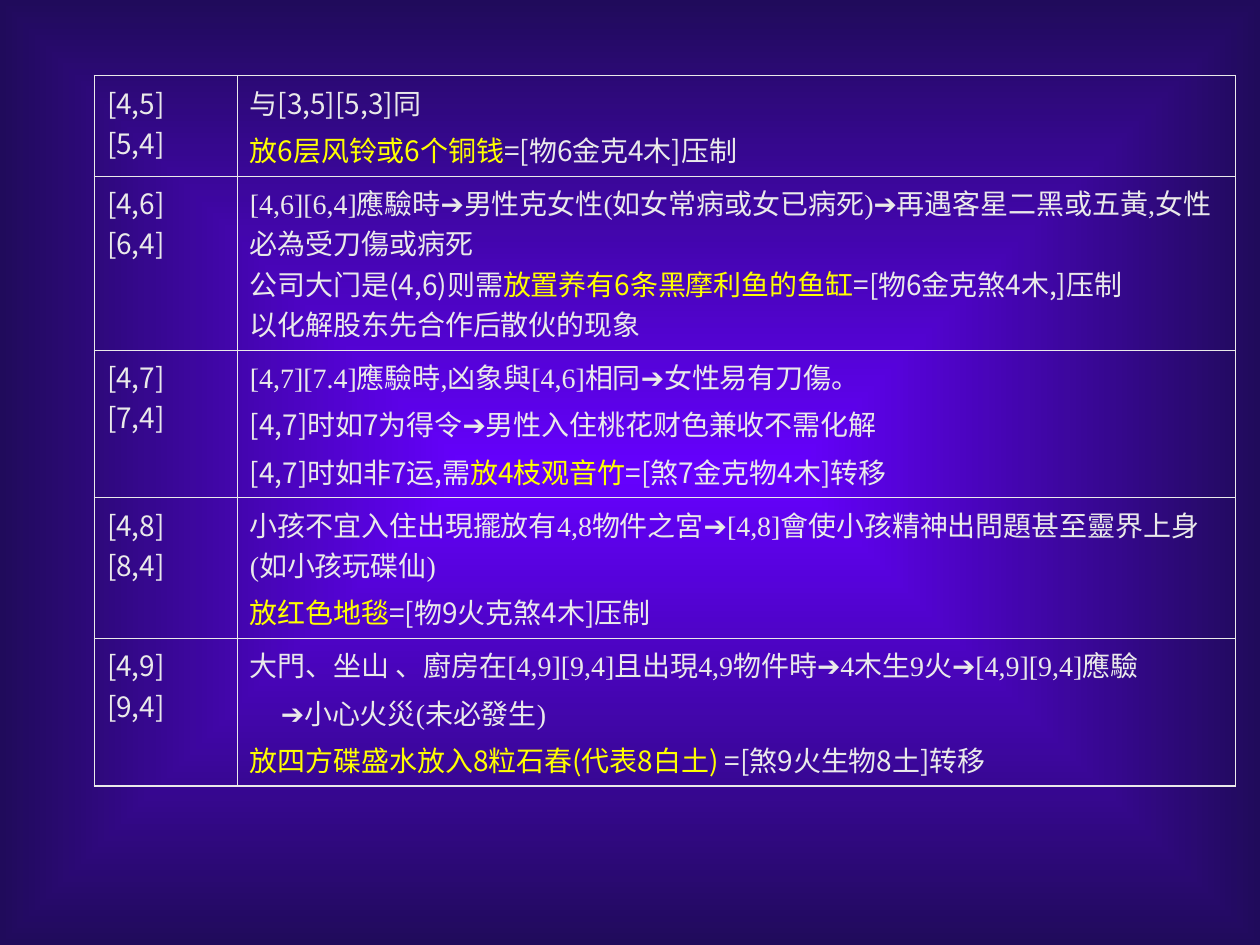
from lxml import etree
from pptx import Presentation
from pptx.dml.color import RGBColor
from pptx.oxml.ns import qn
from pptx.util import Pt

WHITE, YELLOW = "EAEAEA", "FFFF00"
SANS, SERIF, SYMBOL = "Noto Sans CJK SC", "Times New Roman", "Arial"
ARROW = "➔"
OUTER, INNER = 1.08, 0.45
INDENT = 17.7

# Run styles: font and colour
STYLES = {"sans": (SANS, WHITE), "serif": (SERIF, WHITE), "remedy": (SANS, YELLOW)}

# Each row: label, height, paragraphs of (space before, indent, runs)
ROWS = [
    ("[4,5] [5,4]", 49.7, [
        (4, 0, [("sans", "与[3,5][5,3]同")]),
        (4, 0, [("remedy", "放6层风铃或6个铜钱"), ("sans", "=[物6金克4木]压制")]),
    ]),
    ("[4,6] [6,4]", 84.2, [
        (4, 0, [("serif", "[4,6][6,4]應驗時➔男性克女性(如女常病或女已病死)➔"
                          "再遇客星二黑或五黃,女性必為受刀傷或病死")]),
        (0, 0, [("sans", "公司大门是(4,6)则需"), ("remedy", "放置养有6条黑摩利鱼的鱼缸"),
                ("sans", "=[物6金克煞4木,]压制")]),
        (0, 0, [("sans", "以化解股东先合作后散伙的现象")]),
    ]),
    ("[4,7] [7,4]", 72.7, [
        (4, 0, [("serif", "[4,7][7.4]應驗時,凶象與[4,6]相同➔女性易有刀傷。")]),
        (4, 0, [("sans", "[4,7]时如7为得令➔男性入住桃花财色兼收不需化解")]),
        (4, 0, [("sans", "[4,7]时如非7运,需"), ("remedy", "放4枝观音竹"),
                ("sans", "=[煞7金克物4木]转移")]),
    ]),
    ("[4,8] [8,4]", 69.1, [
        (4, 0, [("serif", "小孩不宜入住出現擺放有4,8物件之宮➔"
                          "[4,8]會使小孩精神出問題甚至靈界上身(如小孩玩碟仙)")]),
        (4, 0, [("remedy", "放红色地毯"), ("sans", "=[物9火克煞4木]压制")]),
    ]),
    ("[4,9] [9,4]", 72.7, [
        (4, 0, [("serif", "大門、坐山 、廚房在[4,9][9,4]且出現4,9物件時➔"
                          "4木生9火➔[4,9][9,4]應驗")]),
        (4, INDENT, [("serif", "➔小心火災(未必發生)")]),
        (4, 0, [("remedy", "放四方碟盛水放入8粒石春(代表8白土) "),
                ("sans", "=[煞9火生物8土]转移")]),
    ]),
]


def rgb(hex_color):
    return RGBColor.from_string(hex_color)


def paint_background(slide, center, edge):
    """Rectangular gradient from the middle of the slide outwards."""
    fill = slide.background.fill
    fill.gradient()
    for stop, color, position in zip(fill.gradient_stops, (center, edge), (0, 1)):
        stop.color.rgb = rgb(color)
        stop.position = position
    gradient = slide.element.find(".//" + qn("a:gradFill"))
    gradient.remove(gradient.find(qn("a:lin")))
    shade = etree.SubElement(gradient, qn("a:path"), {"path": "rect"})
    middle = {side: "50000" for side in "ltrb"}
    etree.SubElement(shade, qn("a:fillToRect"), middle)


def add_run(paragraph, words, font, color):
    run = paragraph.add_run()
    run.text = words
    run.font.size = Pt(16)
    run.font.name = font
    run.font.color.rgb = rgb(color)
    east_asian = SYMBOL if font == SYMBOL else SANS
    etree.SubElement(run.font._element, qn("a:ea"), {"typeface": east_asian})


def add_styled_text(paragraph, words, style):
    """Arrows inside the text take the symbol font."""
    font, color = STYLES[style]
    for i, part in enumerate(words.split(ARROW)):
        if i:
            add_run(paragraph, ARROW, SYMBOL, color)
        if part:
            add_run(paragraph, part, font, color)


def fill_cell(cell, paragraphs):
    cell.margin_left = cell.margin_right = Pt(7.2)
    cell.margin_top = cell.margin_bottom = Pt(3.6)
    frame = cell.text_frame
    for i, (space, indent, runs) in enumerate(paragraphs):
        paragraph = frame.add_paragraph() if i else frame.paragraphs[0]
        paragraph.space_before = Pt(space)
        if indent:
            paragraph._p.get_or_add_pPr().set("marL", str(Pt(indent)))
        for style, words in runs:
            add_styled_text(paragraph, words, style)


def draw_borders(cell, widths):
    cell.fill.background()
    properties = cell._tc.get_or_add_tcPr()
    for i, (side, width) in enumerate(zip("LRTB", widths)):
        line = etree.Element(qn("a:ln" + side), {"w": str(Pt(width))})
        solid = etree.SubElement(line, qn("a:solidFill"))
        etree.SubElement(solid, qn("a:srgbClr"), {"val": WHITE})
        properties.insert(i, line)


def add_remedy_table(slide, left, top, column_widths):
    height = sum(row_height for _, row_height, _ in ROWS)
    table = slide.shapes.add_table(len(ROWS), 2, Pt(left), Pt(top),
                                   Pt(sum(column_widths)), Pt(height)).table
    table.first_row = table.horz_banding = False
    for column, width in zip(table.columns, column_widths):
        column.width = Pt(width)

    last = len(ROWS) - 1
    for i, (label, row_height, paragraphs) in enumerate(ROWS):
        table.rows[i].height = Pt(row_height)
        above = OUTER if i == 0 else INNER
        below = OUTER if i == last else INNER
        # Number pair
        pair_cell = table.cell(i, 0)
        fill_cell(pair_cell, [(4, 0, [("sans", label)])])
        draw_borders(pair_cell, (OUTER, INNER, above, below))
        # Meaning and remedy
        remedy_cell = table.cell(i, 1)
        fill_cell(remedy_cell, paragraphs)
        draw_borders(remedy_cell, (INNER, OUTER, above, below))


def main():
    deck = Presentation()
    deck.slide_width, deck.slide_height = Pt(720), Pt(540)
    slide = deck.slides.add_slide(deck.slide_layouts[6])
    paint_background(slide, "6600FF", "200B5B")
    add_remedy_table(slide, 54, 43.2, (81.6, 570.4))
    deck.save("out.pptx")


if __name__ == "__main__":
    main()
